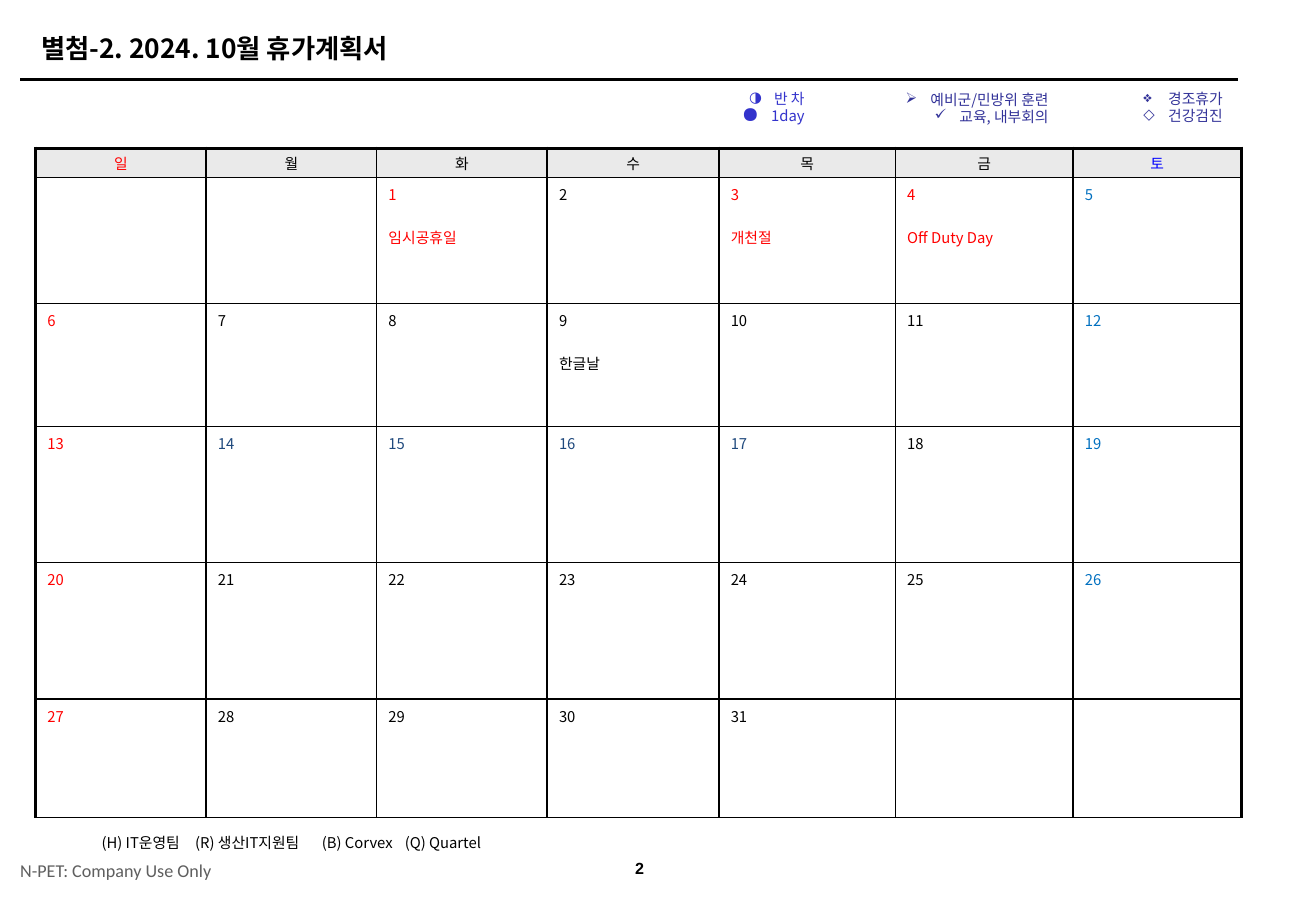
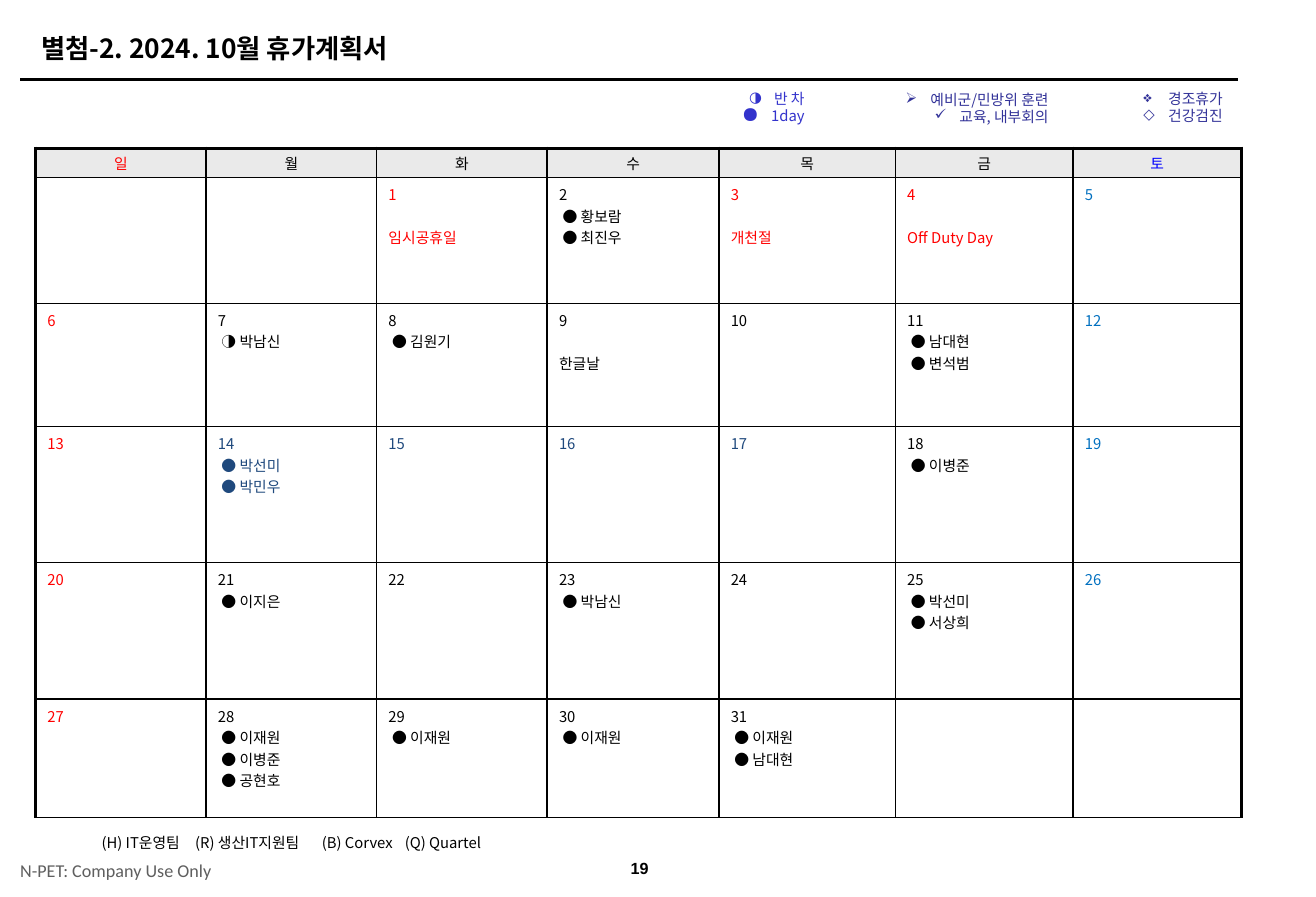
"""Build two monthly leave-plan calendar slides."""
from lxml import etree
from pptx import Presentation
from pptx import util as u
from pptx.dml.color import RGBColor
from pptx.enum import shapes, text
from pptx.oxml.ns import qn

PX = 9144
KOREAN = "Noto Sans CJK KR"
COLORS = {
    "black": "000000", "red": "FF0000", "saturday": "0000FF", "blue": "0070C0",
    "navy": "1F497D", "violet": "3333CC", "indigo": "333399",
    "gray": "5F5F5F", "header": "EAEAEA",
}

TITLE = "별첨-2. 2024. 10월 휴가계획서"
FOOTER = "N-PET: Company Use Only"
TEAMS = "(H) IT운영팀\t(R) 생산IT지원팀\t(B) Corvex\t(Q) Quartel"
TEAM_TABS = (79, 186, 256)
LEGENDS = [
    ((597, 72, 92, 40), "violet", [("◑", 100, 21, "반 차"), ("●", 150, 25, "1day")]),
    ((741, 73, 154, 39), "indigo",
     [("➢", 100, 21, "예비군/민방위 훈련"), ("✓", 100, 21, "교육, 내부회의")]),
    ((859, 72, 183, 39), "indigo",
     [("❖", 100, 21, "경조휴가"), ("◇", 100, 21, "건강검진")]),
]

WEEKDAYS = "일월화수목금토"
FIRST_COLUMN, LAST_DAY = 2, 31
COLUMN_WIDTHS = (144, 144, 144, 145, 149, 150, 142)
ROW_HEIGHTS = (25, 106, 104, 115, 115, 100)
HOLIDAYS = {1: "임시공휴일", 3: "개천절", 4: "Off Duty Day", 9: "한글날"}
DAY_COLORS = {1: "red", 3: "red", 4: "red", **dict.fromkeys(range(14, 18), "navy")}
LEAVES = {
    2: ["● 황보람", "● 최진우"], 7: ["◑ 박남신"], 8: ["● 김원기"],
    11: ["● 남대현", "● 변석범"], 14: ["● 박선미", "● 박민우"], 18: ["● 이병준"],
    21: ["● 이지은"], 23: ["● 박남신"], 25: ["● 박선미", "● 서상희"],
    28: ["● 이재원", "● 이병준", "● 공현호"], 29: ["● 이재원"], 30: ["● 이재원"],
    31: ["● 이재원", "● 남대현"],
}
SLIDES = [("2", {}), ("19", LEAVES)]


def rgb(color):
    return RGBColor.from_string(COLORS[color])


def add_element(parent, tag, **attributes):
    return etree.SubElement(parent, qn(tag), attributes)


def style(para, size, color, name=KOREAN, bold=False, align=text.PP_ALIGN.LEFT):
    para.alignment = align
    font = para.font
    font.size, font.bold, font.name = u.Pt(size), bold, name
    font.color.rgb = rgb(color)
    add_element(para._p.pPr.find(qn("a:defRPr")), "a:ea", typeface=name)


def place(shape, bounds):
    shape.left, shape.top, shape.width, shape.height = (n * PX for n in bounds)


def add_box(page, bounds, anchor=text.MSO_ANCHOR.MIDDLE):
    box = page.shapes.add_textbox(*(n * PX for n in bounds))
    frame = box.text_frame
    frame.word_wrap = True
    frame.vertical_anchor = anchor
    return frame


def add_lines(frame, lines):
    for index, line in enumerate(lines):
        para = frame.add_paragraph() if index else frame.paragraphs[0]
        para.text = line
        yield para


def add_legend(page, bounds, color, items):
    frame = add_box(page, bounds, text.MSO_ANCHOR.TOP)
    paras = add_lines(frame, [label for *_, label in items])
    for para, (mark, percent, hang, _) in zip(paras, items):
        props = para._p.get_or_add_pPr()
        props.set("marL", str(hang * PX))
        props.set("indent", str(-hang * PX))
        add_element(add_element(props, "a:buClr"), "a:srgbClr", val=COLORS[color])
        add_element(props, "a:buSzPct", val=str(percent * 1000))
        add_element(props, "a:buChar", char=mark)
        para.line_spacing = 0.95
        style(para, 9, color, align=text.PP_ALIGN.RIGHT)


def add_teams(page):
    para = add_box(page, (76, 700, 344, 24)).paragraphs[0]
    para.text = TEAMS
    tabs = add_element(para._p.get_or_add_pPr(), "a:tabLst")
    for stop in TEAM_TABS:
        add_element(tabs, "a:tab", pos=str(stop * PX), algn="l")
    para.line_spacing = 0.95
    style(para, 9, "black")


def set_borders(cell, row, column):
    widths = {
        "a:lnL": 1 if column else 2,
        "a:lnR": 2 if column == len(COLUMN_WIDTHS) - 1 else 1,
        "a:lnT": 1 if row else 2,
        "a:lnB": 1,
    }
    props = cell._tc.get_or_add_tcPr()
    for index, (side, width) in enumerate(widths.items()):
        line = add_element(props, side, w=str(u.Pt(width)))
        add_element(add_element(line, "a:solidFill"), "a:srgbClr", val=COLORS["black"])
        props.insert(index, line)


def fill_header(cell, column):
    cell.fill.solid()
    cell.fill.fore_color.rgb = rgb("header")
    cell.vertical_anchor = text.MSO_ANCHOR.MIDDLE
    cell.margin_top = cell.margin_bottom = 2 * PX
    para = cell.text_frame.paragraphs[0]
    para.text = WEEKDAYS[column]
    color = {0: "red", 6: "saturday"}.get(column, "black")
    style(para, 9, color, align=text.PP_ALIGN.CENTER)


def fill_day(cell, day, column, leaves):
    cell.fill.background()
    if not 1 <= day <= LAST_DAY:
        return
    color = DAY_COLORS.get(day, {0: "red", 6: "blue"}.get(column, "black"))
    holiday = HOLIDAYS.get(day)
    lines = [str(day)] + ([holiday] if holiday else leaves.get(day, []))
    for index, para in enumerate(add_lines(cell.text_frame, lines)):
        if index and holiday:
            para.space_before = u.Pt(13)
        elif index:
            para._p.get_or_add_pPr().set("marL", str(3 * PX))
        style(para, 9, color)


def add_calendar(page, leaves):
    bounds = (30, 125, sum(COLUMN_WIDTHS), sum(ROW_HEIGHTS))
    frame = page.shapes.add_table(
        len(ROW_HEIGHTS), len(COLUMN_WIDTHS), *(n * PX for n in bounds))
    table = frame.table
    table.first_row = table.horz_banding = False
    for column, width in zip(table.columns, COLUMN_WIDTHS):
        column.width = width * PX
    for row, height in enumerate(ROW_HEIGHTS):
        table.rows[row].height = height * PX
        for column in range(len(COLUMN_WIDTHS)):
            cell = table.cell(row, column)
            if row:
                day = (row - 1) * 7 + column - FIRST_COLUMN + 1
                fill_day(cell, day, column, leaves)
            else:
                fill_header(cell, column)
            set_borders(cell, row, column)


def add_frame(page, number):
    title = page.shapes.title
    place(title, (25, 22, 990, 37))
    frame = title.text_frame
    frame.text = TITLE
    frame.auto_size = text.MSO_AUTO_SIZE.NONE
    frame.vertical_anchor = text.MSO_ANCHOR.MIDDLE
    style(frame.paragraphs[0], 16, "black", bold=True)

    rule = page.shapes.add_connector(
        shapes.MSO_CONNECTOR.STRAIGHT, 17 * PX, 67 * PX, 1045 * PX, 67 * PX)
    rule.line.color.rgb = rgb("black")
    rule.line.width = u.Pt(1.5)
    add_element(rule._element.spPr, "a:effectLst")

    para = add_box(page, (513, 717, 54, 31)).paragraphs[0]
    para.text = number
    style(para, 9.8, "black", "Arial", True, text.PP_ALIGN.CENTER)

    footer = add_box(page, (17, 719, 192, 31))
    footer.margin_left = footer.margin_right = 0
    footer.text = FOOTER
    style(footer.paragraphs[0], 11, "gray", "Calibri")


def main():
    deck = Presentation()
    deck.slide_width, deck.slide_height = 1111 * PX, 757 * PX
    for number, leaves in SLIDES:
        page = deck.slides.add_slide(deck.slide_layouts[5])
        add_frame(page, number)
        add_calendar(page, leaves)
        for legend in LEGENDS:
            add_legend(page, *legend)
        add_teams(page)
    deck.save("out.pptx")


if __name__ == "__main__":
    main()
